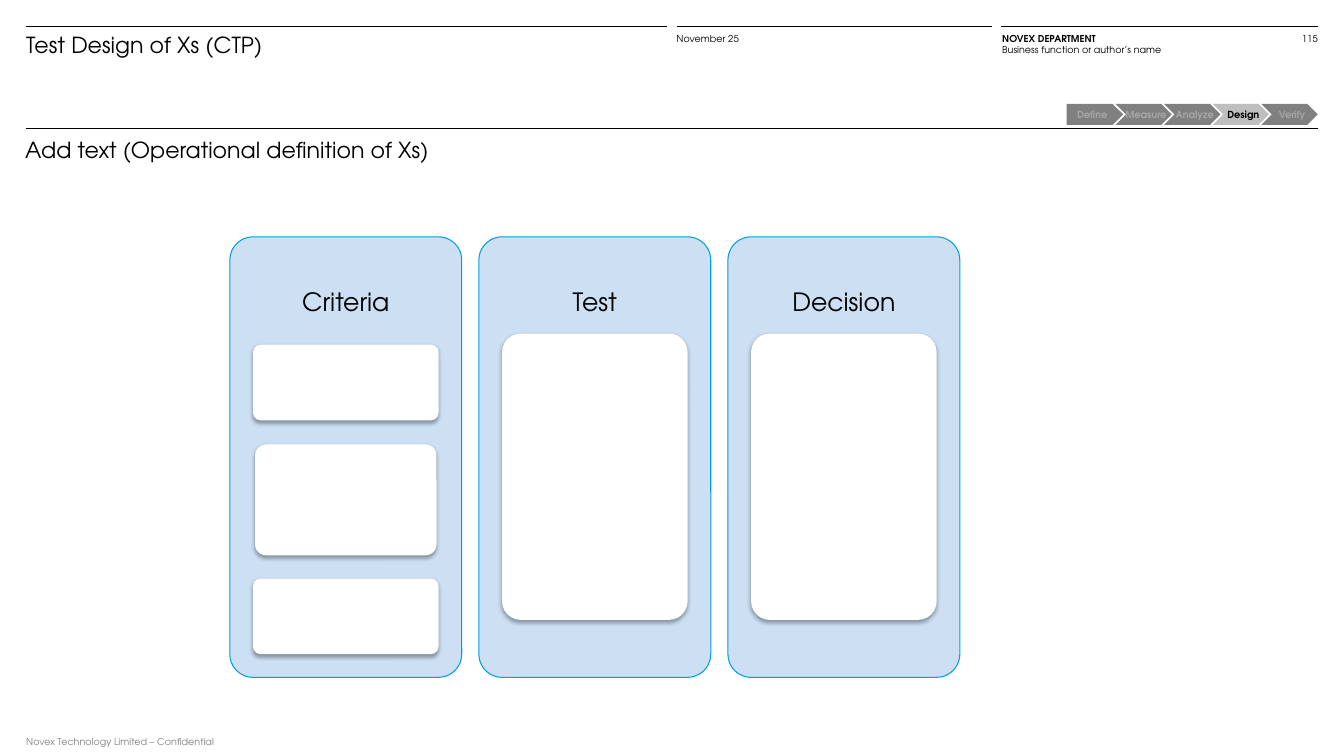
from lxml import etree
from pptx import Presentation
from pptx.dml.color import RGBColor
from pptx.enum.shapes import MSO_CONNECTOR, MSO_SHAPE
from pptx.enum.text import MSO_ANCHOR, PP_ALIGN
from pptx.oxml import parse_xml
from pptx.oxml.ns import qn
from pptx.util import Inches, Pt

FONT = "TeX Gyre Adventor"
SHADOW = (
    '<a:outerShdw xmlns:a="http://schemas.openxmlformats.org/drawingml/2006/main" '
    'blurRad="39370" dist="22860" dir="5400000" algn="t" rotWithShape="0">'
    '<a:srgbClr val="000000"><a:alpha val="35000"/></a:srgbClr></a:outerShdw>'
)


def write(box, lines, size, color, insets=(0, 0, 0, 0), align=PP_ALIGN.LEFT,
          anchor=MSO_ANCHOR.TOP, spacing=None, bold=False, wrap=True):
    frame = box.text_frame
    frame.word_wrap = wrap
    frame.vertical_anchor = anchor
    frame.margin_left, frame.margin_top, frame.margin_right, frame.margin_bottom = map(Inches, insets)
    frame.text = "\n".join(lines)
    for para in frame.paragraphs:
        para.alignment = align
        para.line_spacing = spacing
        para.font.name = FONT
        para.font.size = Pt(size)
        para.font.bold = bold
        para.font.color.rgb = RGBColor.from_string(color)
    return frame


def add_block(kind, place, fill, line=None):
    block = page.shapes.add_shape(kind, *map(Inches, place))
    block.shadow.inherit = False
    block.fill.solid()
    block.fill.fore_color.rgb = RGBColor.from_string(fill)
    if line:
        block.line.color.rgb = RGBColor.from_string(line)
        block.line.width = Pt(0.75)
    else:
        block.line.fill.background()
    if kind == MSO_SHAPE.ROUNDED_RECTANGLE:
        block.adjustments[0] = 0.1
    return block


deck = Presentation()
deck.slide_width = Inches(13.33)
deck.slide_height = Inches(7.5)
page = deck.slides.add_slide(deck.slide_layouts[6])

for start, end, y in [(0.26, 6.62, 0.26), (6.71, 9.84, 0.26), (9.93, 13.07, 0.26), (0.26, 13.07, 1.27)]:
    rule = page.shapes.add_connector(
        MSO_CONNECTOR.STRAIGHT, Inches(start), Inches(y), Inches(end), Inches(y))
    rule.line.color.rgb = RGBColor.from_string("000000")
    rule.line.width = Pt(0.5)
    etree.SubElement(rule.line._get_or_add_ln().getparent(), qn("a:effectLst"))

small_texts = [
    ((12.09, 0.33, 0.98, 0.11), ["115"], "000000", PP_ALIGN.RIGHT, None),
    ((6.71, 0.33, 3.13, 0.22), ["November 25"], "000000", PP_ALIGN.LEFT, Pt(7.9)),
    ((0.26, 7.31, 3.14, 0.11), ["Novex Technology Limited – Confidential"], "808080", PP_ALIGN.LEFT, Pt(7.9)),
    ((9.94, 0.33, 2.05, 0.22), ["NOVEX DEPARTMENT", "Business function or author’s name"],
     "000000", PP_ALIGN.LEFT, Pt(7.9)),
]
for place, lines, color, align, spacing in small_texts:
    box = page.shapes.add_textbox(*map(Inches, place))
    frame = write(box, lines, 6.8, color, align=align, spacing=spacing)
    if len(lines) > 1:
        frame.paragraphs[0].font.bold = True

headings = [
    ((0.26, 0.27, 6.36, 0.62), "Test Design of Xs (CTP)"),
    ((0.25, 1.31, 6.41, 0.62), "Add text (Operational definition of Xs)"),
]
for place, text in headings:
    box = page.shapes.add_textbox(*map(Inches, place))
    write(box, [text], 15.8, "000000", insets=(0, 0.04, 0.1, 0))

for index, phase in enumerate(["Define", "Measure", "Analyze", "Design", "Verify"]):
    kind = MSO_SHAPE.CHEVRON if index else MSO_SHAPE.PENTAGON
    active = phase == "Design"
    step = add_block(kind, (10.58 + index * 0.4825, 1.03, 0.56, 0.21), "BFBFBF" if active else "808080")
    write(step, [phase], 7, "000000" if active else "A6A6A6",
          insets=(0.05 if index else 0, 0, 0, 0), align=PP_ALIGN.CENTER,
          anchor=MSO_ANCHOR.MIDDLE, bold=True, wrap=False)

columns = [
    ("Criteria", [(0.23, 3.42, 1.84, 0.75), (0.25, 4.41, 1.8, 1.1), (0.23, 5.74, 1.84, 0.75)]),
    ("Test", [(0.23, 3.31, 1.84, 2.84)]),
    ("Decision", [(0.23, 3.31, 1.84, 2.84)]),
]
for index, (heading, cards) in enumerate(columns):
    left = 2.28 + index * 2.47
    add_block(MSO_SHAPE.ROUNDED_RECTANGLE, (left, 2.35, 2.3, 4.37), "CCDFF3", "009FDF")
    box = page.shapes.add_textbox(*map(Inches, (left, 2.35, 2.3, 1.31)))
    write(box, [heading], 18, "000000", insets=(0.07, 0.07, 0.07, 0.07),
          align=PP_ALIGN.CENTER, anchor=MSO_ANCHOR.MIDDLE, spacing=0.9)
    for offset, top, width, height in cards:
        card = add_block(MSO_SHAPE.ROUNDED_RECTANGLE, (left + offset, top, width, height), "FFFFFF")
        card.element.spPr.find(qn("a:effectLst")).append(parse_xml(SHADOW))

deck.save("out.pptx")
